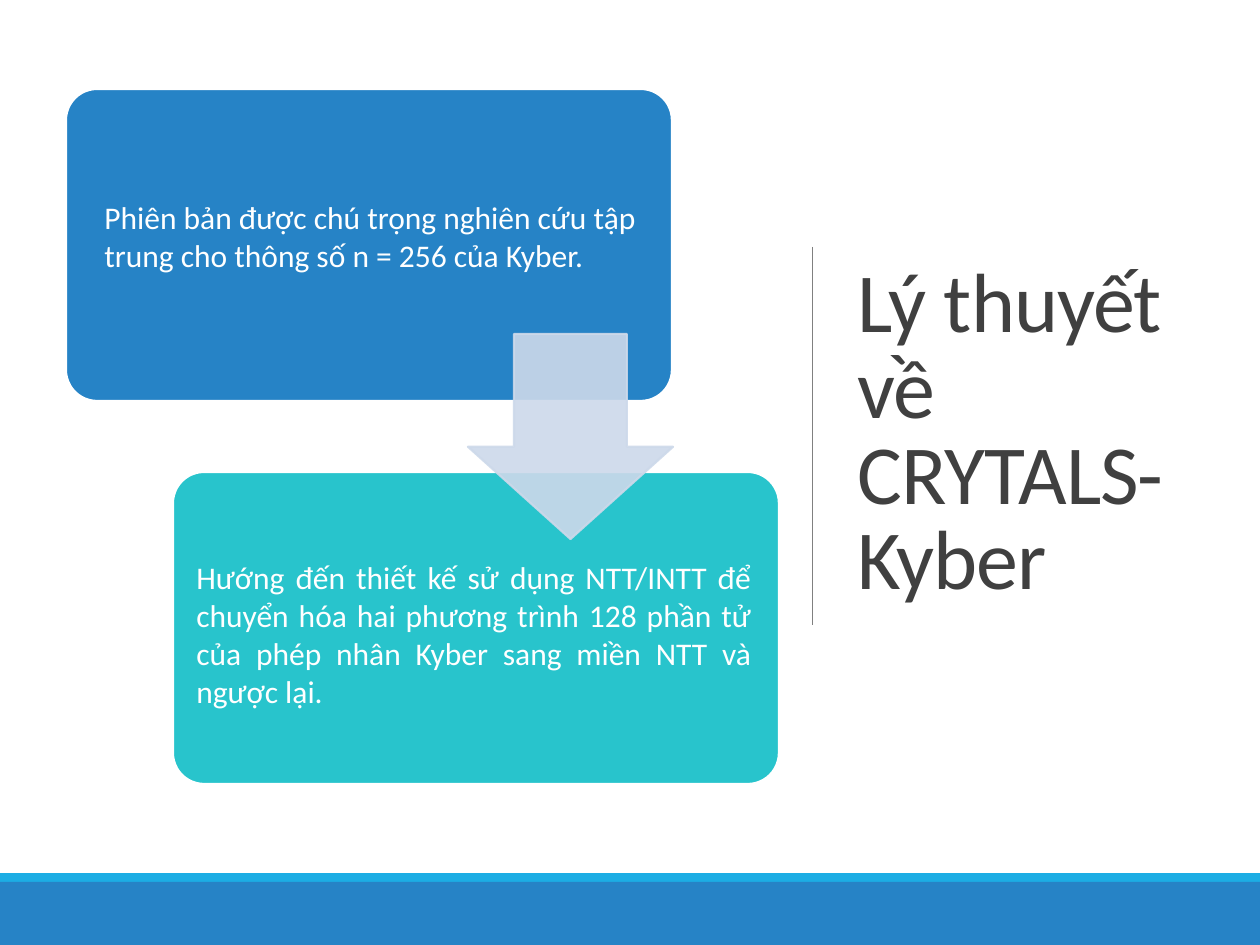
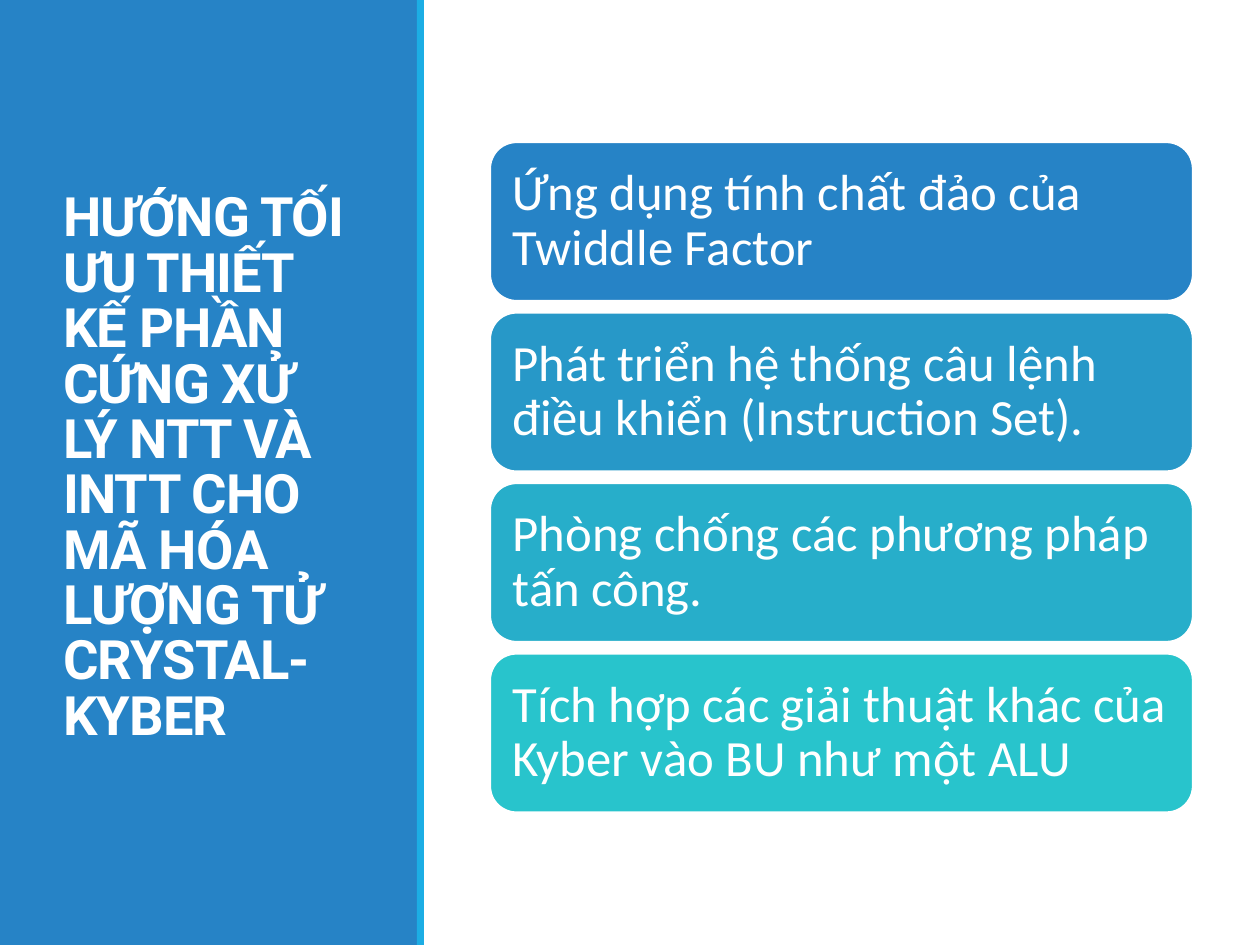
import pptx
import pptx.util
import pptx.dml.color
import pptx.enum.shapes
import pptx.enum.text
import pptx.oxml.ns
import lxml.etree

PX = 914400 / 126
WIDTH, HEIGHT = 1260, 945
COLORS = {
    "blue": "2683C6",
    "sky": "1CADE4",
    "steel": "2798C8",
    "lagoon": "27AECA",
    "teal": "28C4CC",
    "arrow": "CDD9EA",
    "white": "FFFFFF",
    "title": "404040",
    "rule": "808080",
}
SHAPES = pptx.enum.shapes.MSO_SHAPE
ALIGN = pptx.enum.text.PP_ALIGN
ANCHOR = pptx.enum.text.MSO_ANCHOR
qn = pptx.oxml.ns.qn


def add_box(slide, kind, place, fill, outline=None):
    """Add a filled preset shape; place is left, top, width, height in px."""
    shape = slide.shapes.add_shape(kind, *[round(n * PX) for n in place])
    shape.shadow.inherit = False
    shape.fill.solid()
    shape.fill.fore_color.rgb = pptx.dml.color.RGBColor.from_string(COLORS[fill])
    if outline:
        shape.line.color.rgb = pptx.dml.color.RGBColor.from_string(COLORS[outline])
        shape.line.width = pptx.util.Pt(1.25)
    else:
        shape.line.fill.background()
    return shape


def write(shape, text, size, color="white", font="Calibri", bold=False,
          align=ALIGN.LEFT, anchor=ANCHOR.MIDDLE, leading=None, tracking=None):
    """Put one styled paragraph into a shape or text box."""
    frame = shape.text_frame
    frame.word_wrap = True
    frame.vertical_anchor = anchor
    paragraph = frame.paragraphs[0]
    run = paragraph.add_run()
    run.text = text
    paragraph.alignment = align
    paragraph.line_spacing = leading
    paragraph.font.name = font
    paragraph.font.size = pptx.util.Pt(size)
    paragraph.font.bold = bold
    paragraph.font.color.rgb = pptx.dml.color.RGBColor.from_string(COLORS[color])
    if tracking:
        run.font._element.set("spc", str(tracking))


presentation = pptx.Presentation()
presentation.slide_width = round(WIDTH * PX)
presentation.slide_height = round(HEIGHT * PX)
blank = presentation.slide_layouts[6]
title_style = {"leading": 0.85, "tracking": -50}

# Slide 1: theory, with bands along the bottom
theory = presentation.slides.add_slide(blank)
add_box(theory, SHAPES.RECTANGLE, (0, 873, WIDTH, 9), "sky")
add_box(theory, SHAPES.RECTANGLE, (0, 882, WIDTH, 63), "blue")

# Title and its dividing rule
title = theory.shapes.add_textbox(*[round(n * PX) for n in (845, 87, 349, 697)])
write(title, "Lý thuyết về CRYTALS-Kyber", 48, "title", **title_style)
rule = theory.shapes.add_connector(
    pptx.enum.shapes.MSO_CONNECTOR.STRAIGHT,
    *[round(n * PX) for n in (812, 247, 812, 625)])
rule.line.color.rgb = pptx.dml.color.RGBColor.from_string(COLORS["rule"])
rule.line.width = pptx.util.Pt(0.5)
lxml.etree.SubElement(rule._element.spPr, qn("a:effectLst"))

# Two stepped panels
for left, top, fill in [(66, 89, "blue"), (173, 472, "teal")]:
    panel = add_box(theory, SHAPES.ROUNDED_RECTANGLE, (left, top, 606, 312), fill, "white")
    panel.adjustments[0] = 0.1

# Translucent arrow between the panels
arrow = add_box(theory, SHAPES.DOWN_ARROW, (468, 334, 205, 205), "arrow", "arrow")
arrow.adjustments[0] = 0.55
arrow.adjustments[1] = 0.45
for color in arrow._element.spPr.iter(qn("a:srgbClr")):
    lxml.etree.SubElement(color, qn("a:alpha"), val="90000")

# Panel texts
panel_texts = [
    ((92, 192, 610, 89), ALIGN.LEFT,
     "Phiên bản được chú trọng nghiên cứu tập trung cho thông số n = 256 của Kyber."),
    ((184, 552, 580, 165), ALIGN.JUSTIFY,
     "Hướng đến thiết kế sử dụng NTT/INTT để chuyển hóa hai phương trình "
     "128 phần tử của phép nhân Kyber sang miền NTT và ngược lại."),
]
for place, align, text in panel_texts:
    box = theory.shapes.add_textbox(*[round(n * PX) for n in place])
    write(box, text, 18, align=align, anchor=ANCHOR.TOP)

# Slide 2: directions, with bands down the left side
directions = presentation.slides.add_slide(blank)
add_box(directions, SHAPES.RECTANGLE, (0, 0, 418, HEIGHT), "blue")
add_box(directions, SHAPES.RECTANGLE, (417, 0, 7, HEIGHT), "sky")
title = directions.shapes.add_textbox(*[round(n * PX) for n in (51, 72, 319, 795)])
write(title,
      "HƯỚNG TỐI ƯU THIẾT KẾ PHẦN CỨNG XỬ LÝ NTT VÀ INTT CHO MÃ HÓA "
      "LƯỢNG TỬ CRYSTAL- KYBER",
      31, font="Roboto", bold=True, **title_style)

# Evenly stacked cards
cards = [
    ("blue", "Ứng dụng tính chất đảo của Twiddle Factor"),
    ("steel", "Phát triển hệ thống câu lệnh điều khiển (Instruction Set)."),
    ("lagoon", "Phòng chống các phương pháp tấn công."),
    ("teal", "Tích hợp các giải thuật khác của Kyber vào BU như một ALU"),
]
CARD_TOP, CARD_HEIGHT, CARD_PITCH = 142, 159, 170.5
for index, (fill, text) in enumerate(cards):
    place = (490, CARD_TOP + index * CARD_PITCH, 703, CARD_HEIGHT)
    card = add_box(directions, SHAPES.ROUNDED_RECTANGLE, place, fill, "white")
    frame = card.text_frame
    frame.margin_left = frame.margin_right = round(15 * PX)
    frame.margin_top = frame.margin_bottom = round(15 * PX)
    write(card, text, 29, leading=0.9)

presentation.save("out.pptx")
